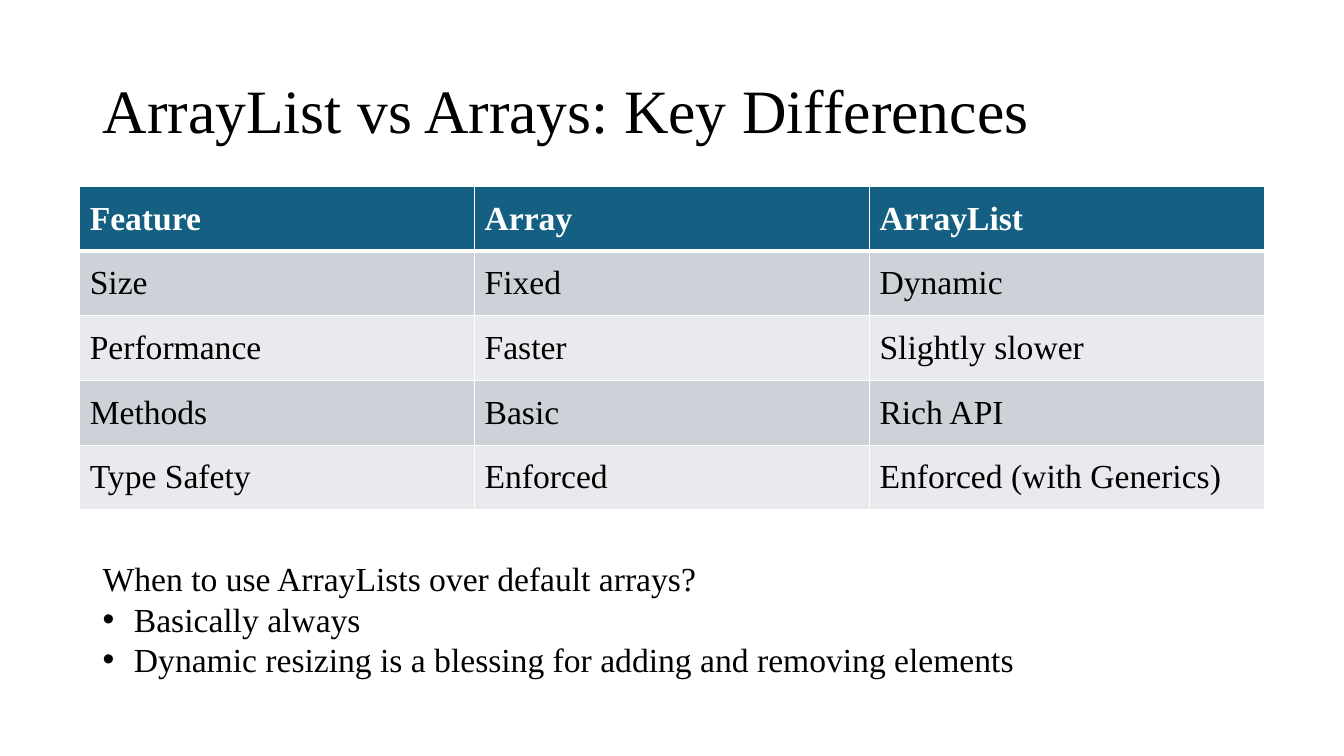
"""Build the slide that compares ArrayList with arrays."""
import dataclasses

import pptx
import pptx.dml.color
import pptx.enum.text
import pptx.oxml
import pptx.oxml.ns
import pptx.util

Inches = pptx.util.Inches
Pt = pptx.util.Pt
Anchor = pptx.enum.text.MSO_ANCHOR


@dataclasses.dataclass(frozen=True)
class Theme:
    font: str = "Times New Roman"
    title: int = 44
    body: int = 24
    ink: str = "000000"
    paper: str = "FFFFFF"
    head: str = "156082"
    bands: tuple = ("CCD2D8", "E8EAED")
    thin: int = 1
    thick: int = 3


THEME = Theme()
ROWS = (
    ("Feature", "Array", "ArrayList"),
    ("Size", "Fixed", "Dynamic"),
    ("Performance", "Faster", "Slightly slower"),
    ("Methods", "Basic", "Rich API"),
    ("Type Safety", "Enforced", "Enforced (with Generics)"),
)
QUESTION = "When to use ArrayLists over default arrays?"
REASONS = (
    "Basically always",
    "Dynamic resizing is a blessing for adding and removing elements",
)


def rgb(code):
    return pptx.dml.color.RGBColor.from_string(code)


def make(tag, **attrs):
    pairs = "".join(f' {key}="{value}"' for key, value in attrs.items())
    space = pptx.oxml.ns.nsdecls("a")
    return pptx.oxml.parse_xml(f"<a:{tag} {space}{pairs}/>")


def style(para, size, color=THEME.ink, bold=False):
    font = para.font
    font.name, font.size, font.bold = THEME.font, Pt(size), bold
    font.color.rgb = rgb(color)


def add_text(slide, box, lines, size, anchor=Anchor.TOP):
    shape = slide.shapes.add_textbox(*map(Inches, box))
    frame = shape.text_frame
    frame.word_wrap = True
    frame.vertical_anchor = anchor
    frame.text = "\n".join(lines)
    for para in frame.paragraphs:
        style(para, size)
    return frame


def bullet(para):
    props = para._p.get_or_add_pPr()
    indent = Inches(0.31)
    props.set("marL", str(indent))
    props.set("indent", str(-indent))
    marks = (make("buFont", typeface="Arial"), make("buChar", char="•"))
    for mark in marks:
        props.insert_element_before(mark, "a:tabLst", "a:defRPr", "a:extLst")


def border(cell, side, width):
    line = make(f"ln{side}", w=Pt(width))
    fill = make("solidFill")
    fill.append(make("srgbClr", val=THEME.paper))
    line.append(fill)
    cell._tc.get_or_add_tcPr().append(line)


def fill_cell(cell, text, row):
    head = row == 0
    widths = dict.fromkeys("LRTB", THEME.thin)
    if head:
        widths["B"] = THEME.thick
    elif row == 1:
        widths["T"] = THEME.thick
    for side, width in widths.items():
        border(cell, side, width)
    cell.fill.solid()
    shade = THEME.head if head else THEME.bands[(row - 1) % 2]
    cell.fill.fore_color.rgb = rgb(shade)
    cell.vertical_anchor = Anchor.MIDDLE
    cell.text = text
    color = THEME.paper if head else THEME.ink
    style(cell.text_frame.paragraphs[0], THEME.body, color, head)


def add_grid(slide, box, rows):
    frame = slide.shapes.add_table(len(rows), len(rows[0]), *map(Inches, box))
    for row, texts in enumerate(rows):
        for col, text in enumerate(texts):
            fill_cell(frame.table.cell(row, col), text, row)


def main():
    deck = pptx.Presentation()
    deck.slide_width, deck.slide_height = Inches(13.33), Inches(7.5)
    slide = deck.slides.add_slide(deck.slide_layouts[6])
    title = add_text(slide, (0.92, 0.4, 11.5, 1.45),
                     ["ArrayList vs Arrays: Key Differences"],
                     THEME.title, Anchor.MIDDLE)
    title.paragraphs[0].line_spacing = 0.9
    add_grid(slide, (0.79, 1.85, 11.75, 3.21), ROWS)
    advice = add_text(slide, (0.92, 5.49, 9.78, 1.31),
                      [QUESTION, *REASONS], THEME.body)
    for para in advice.paragraphs[1:]:
        bullet(para)
    deck.save("out.pptx")


if __name__ == "__main__":
    main()
